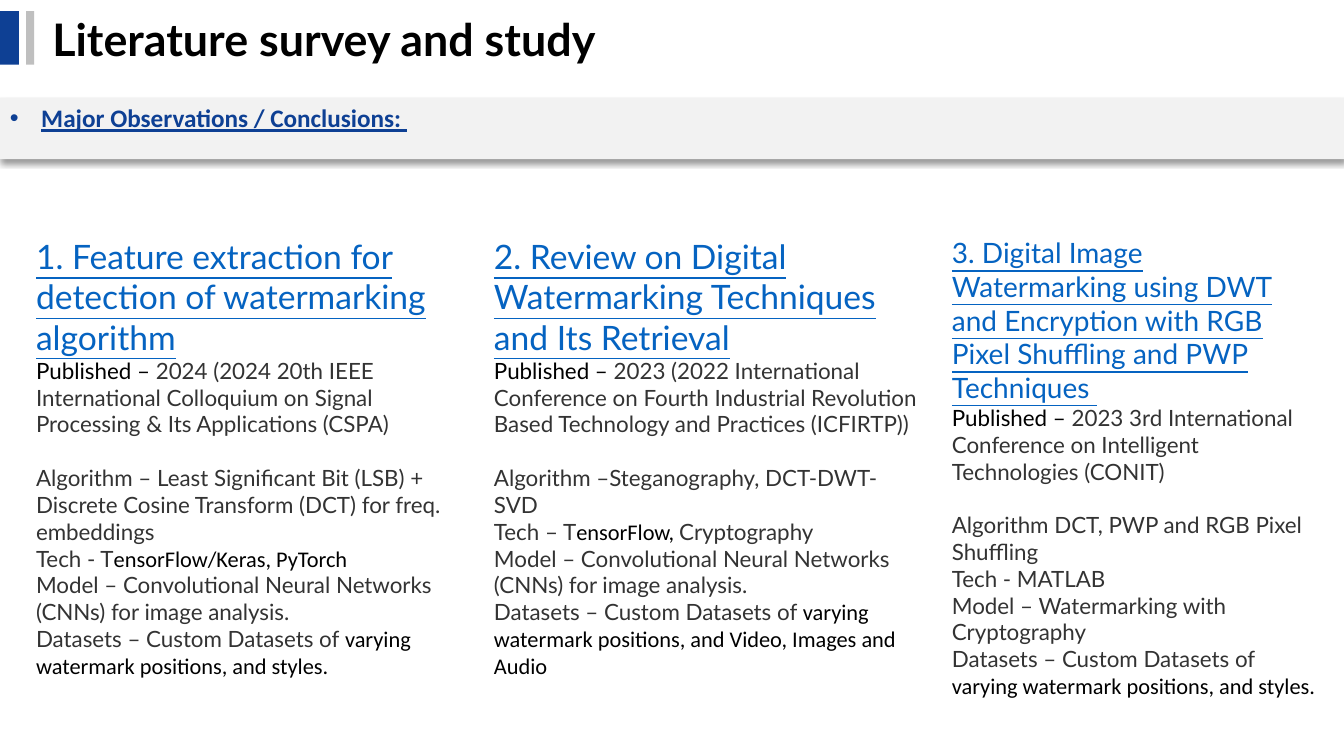
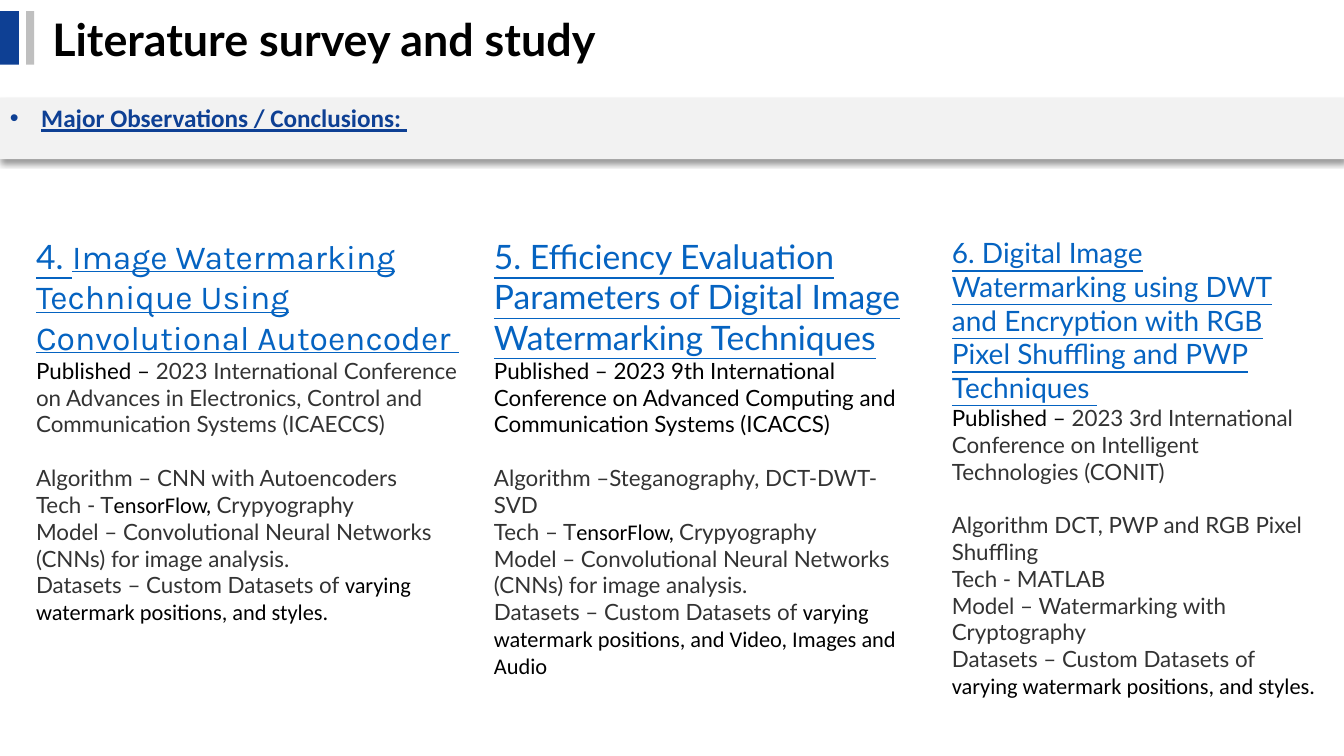
from dataclasses import dataclass

from lxml.etree import SubElement
from pptx import Presentation
from pptx.dml.color import RGBColor
from pptx.enum.shapes import MSO_SHAPE as Shape
from pptx.enum.text import MSO_ANCHOR as Anchor, PP_ALIGN as Align
from pptx.oxml.ns import qn
from pptx.util import Cm, Pt

BLUE, SILVER, PALE = "0E4094", "BFBFBF", "F2F2F2"
BLACK, GREY, LINK = "000000", "333333", "0563C1"
SLIDE_WIDTH, SLIDE_HEIGHT = 33.87, 19.05
COLUMN_LEFT, COLUMN_TOP, COLUMN_STEP, COLUMN_HEIGHT = 0.66, 5.82, 11.54, 13
COLUMN_WIDTHS = (11.23, 11.23, 9.8)
SECTION_GAP = 19


@dataclass
class Style:
    size: float = 16
    color: str = GREY
    font: str = "Lato"
    bold: bool = False
    underline: bool = False


@dataclass
class Paper:
    number: int
    heading: str
    venue: str
    details: list
    heading_size: int = 24
    heading_font: str = "Lato"
    venue_color: str = GREY


TITLE = Style(32, BLACK, bold=True)
SUBTITLE = Style(18, BLUE, "Calibri", bold=True, underline=True)
BODY = Style()
LABEL = Style(color=BLACK)
ACCENT = Style(color=BLACK, font="Calibri")

CNN_MODEL = [("Model – Convolutional Neural Networks (CNNs) for image analysis.", BODY)]
DATASETS = ("Datasets – Custom Datasets of ", BODY)
STYLE_DATASETS = [DATASETS, ("varying watermark positions, and styles.", ACCENT)]
MEDIA_DATASETS = [DATASETS, ("varying watermark positions, and Video, Images and Audio", ACCENT)]


def tensorflow(label, partner):
    return [(f"{label}T", BODY), ("ensorFlow, ", ACCENT), (partner, BODY)]


def steganography(partner):
    return [
        [("Algorithm –Steganography, DCT-DWT-SVD", BODY)],
        tensorflow("Tech – ", partner),
        CNN_MODEL,
        MEDIA_DATASETS,
    ]


def pixel_shuffling(number):
    return Paper(
        number,
        "Digital Image Watermarking using DWT and Encryption with RGB Pixel Shuffling and PWP Techniques ",
        "2023 3rd International Conference on Intelligent Technologies (CONIT)",
        [
            [("Algorithm DCT, PWP and RGB Pixel Shuffling", BODY)],
            [("Tech - MATLAB", BODY)],
            [("Model – Watermarking with Cryptography", BODY)],
            STYLE_DATASETS,
        ],
        heading_size=20,
    )


SURVEY = [
    [
        Paper(
            1,
            "Feature extraction for detection of watermarking algorithm",
            "2024 (2024 20th IEEE International Colloquium on Signal Processing & Its Applications (CSPA)",
            [
                [("Algorithm – Least Significant Bit (LSB) + Discrete Cosine Transform (DCT) for freq. embeddings", BODY)],
                [("Tech - T", BODY), ("ensorFlow/Keras, PyTorch", ACCENT)],
                CNN_MODEL,
                STYLE_DATASETS,
            ],
        ),
        Paper(
            2,
            "Review on Digital Watermarking Techniques and Its Retrieval",
            "2023 (2022 International Conference on Fourth Industrial Revolution Based Technology and Practices (ICFIRTP))",
            steganography("Cryptography"),
        ),
        pixel_shuffling(3),
    ],
    [
        Paper(
            4,
            "Image Watermarking Technique Using Convolutional Autoencoder ",
            "2023 International Conference on Advances in Electronics, Control and Communication Systems (ICAECCS)",
            [
                [("Algorithm – CNN with Autoencoders", BODY)],
                tensorflow("Tech - ", "Crypyography"),
                CNN_MODEL,
                STYLE_DATASETS,
            ],
            heading_font="Karla",
        ),
        Paper(
            5,
            "Efficiency Evaluation Parameters of Digital Image Watermarking Techniques",
            "2023 9th International Conference on Advanced Computing and Communication Systems (ICACCS)",
            steganography("Crypyography"),
            venue_color=BLACK,
        ),
        pixel_shuffling(6),
    ],
]


def rgb(value):
    return RGBColor.from_string(value)


def add_run(paragraph, text, style):
    run = paragraph.add_run()
    run.text = text
    font = run.font
    font.size, font.name = Pt(style.size), style.font
    font.bold, font.underline = style.bold, style.underline
    font.color.rgb = rgb(style.color)


def add_bar(slide, left, top, width, height, color):
    bar = slide.shapes.add_shape(Shape.RECTANGLE, Cm(left), Cm(top), Cm(width), Cm(height))
    bar.shadow.inherit = False
    bar.fill.solid()
    bar.fill.fore_color.rgb = rgb(color)
    bar.line.fill.background()
    return bar


def add_text(slide, left, top, width, height, lines, anchor=Anchor.TOP):
    frame = slide.shapes.add_textbox(Cm(left), Cm(top), Cm(width), Cm(height)).text_frame
    frame.word_wrap = True
    frame.vertical_anchor = anchor
    for index, runs in enumerate(lines):
        paragraph = frame.add_paragraph() if index else frame.paragraphs[0]
        for text, style in runs:
            add_run(paragraph, text, style)
    return frame


def cast_shadow(bar):
    effects = bar._element.spPr.find(qn("a:effectLst"))
    shadow = SubElement(effects, qn("a:outerShdw"), blurRad=str(Pt(4)), dist=str(Pt(3)),
                        dir="5400000", algn="t", rotWithShape="0")
    color = SubElement(shadow, qn("a:srgbClr"), val=BLACK)
    SubElement(color, qn("a:alpha"), val="40000")


def add_bullet(paragraph, indent):
    properties = paragraph._p.get_or_add_pPr()
    properties.set("marL", str(Cm(indent)))
    properties.set("indent", str(-Cm(indent)))
    SubElement(properties, qn("a:buFont"), typeface="Arial")
    SubElement(properties, qn("a:buChar"), char="•")


def add_header(slide):
    add_bar(slide, 0, 0.28, 0.48, 1.35, BLUE)
    add_bar(slide, 0.66, 0.28, 0.2, 1.35, SILVER)
    add_text(slide, 1.07, 0.15, 26.11, 1.63, [[("Literature survey and study", TITLE)]], Anchor.MIDDLE)


def add_subtitle_band(slide):
    band = add_bar(slide, 0, 2.46, SLIDE_WIDTH, 1.55, PALE)
    cast_shadow(band)
    band.text_frame.vertical_anchor = Anchor.TOP
    paragraph = band.text_frame.paragraphs[0]
    paragraph.alignment = Align.JUSTIFY
    add_bullet(paragraph, 0.79)
    add_run(paragraph, "Major Observations / Conclusions: ", SUBTITLE)


def add_paper(slide, paper, column):
    number_style = Style(paper.heading_size, LINK, underline=True)
    heading_style = Style(paper.heading_size, LINK, paper.heading_font, underline=True)
    heading = [(f"{paper.number}. ", number_style), (paper.heading, heading_style)]
    published = [("Published – ", LABEL), (paper.venue, Style(color=paper.venue_color))]
    left = COLUMN_LEFT + column * COLUMN_STEP
    frame = add_text(slide, left, COLUMN_TOP, COLUMN_WIDTHS[column], COLUMN_HEIGHT,
                     [heading, published, *paper.details])
    frame.paragraphs[2].space_before = Pt(SECTION_GAP)


def main():
    deck = Presentation()
    deck.slide_width, deck.slide_height = Cm(SLIDE_WIDTH), Cm(SLIDE_HEIGHT)
    for papers in SURVEY:
        slide = deck.slides.add_slide(deck.slide_layouts[6])
        add_header(slide)
        add_subtitle_band(slide)
        for column, paper in enumerate(papers):
            add_paper(slide, paper, column)
    deck.save("out.pptx")


if __name__ == "__main__":
    main()
